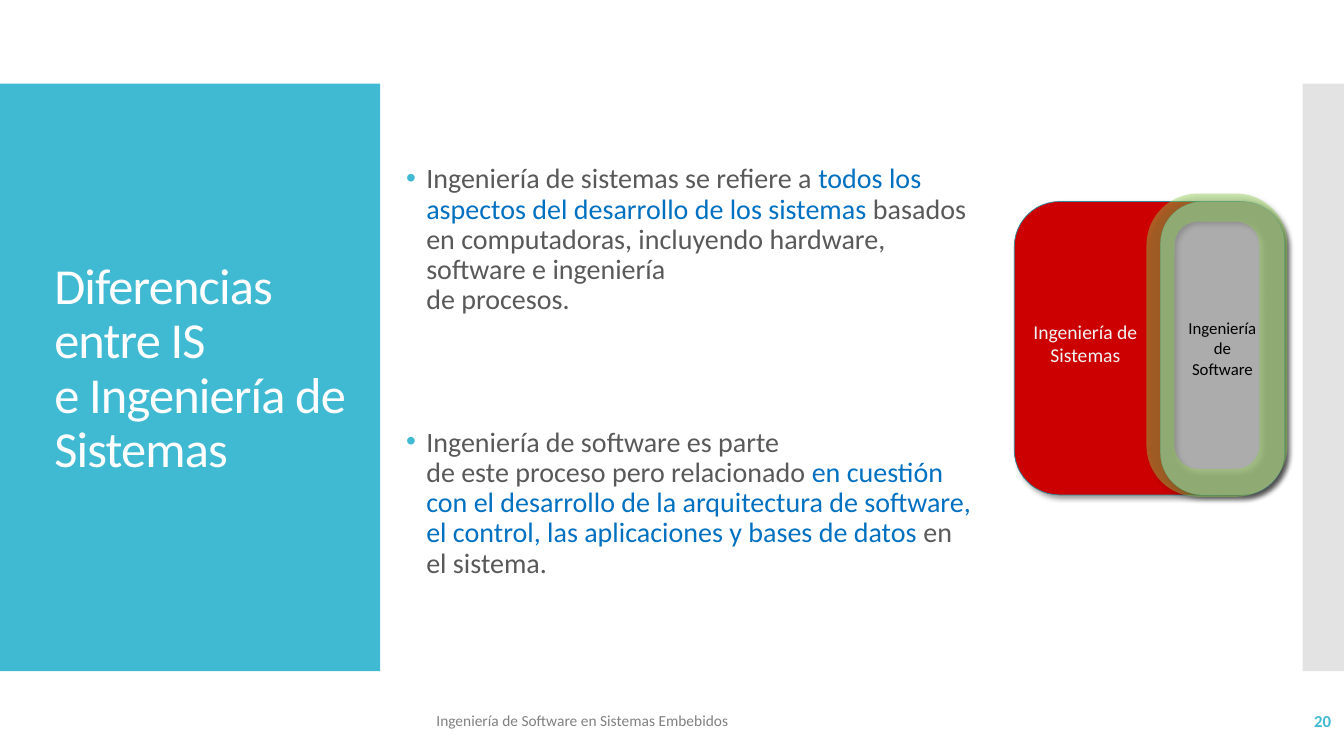
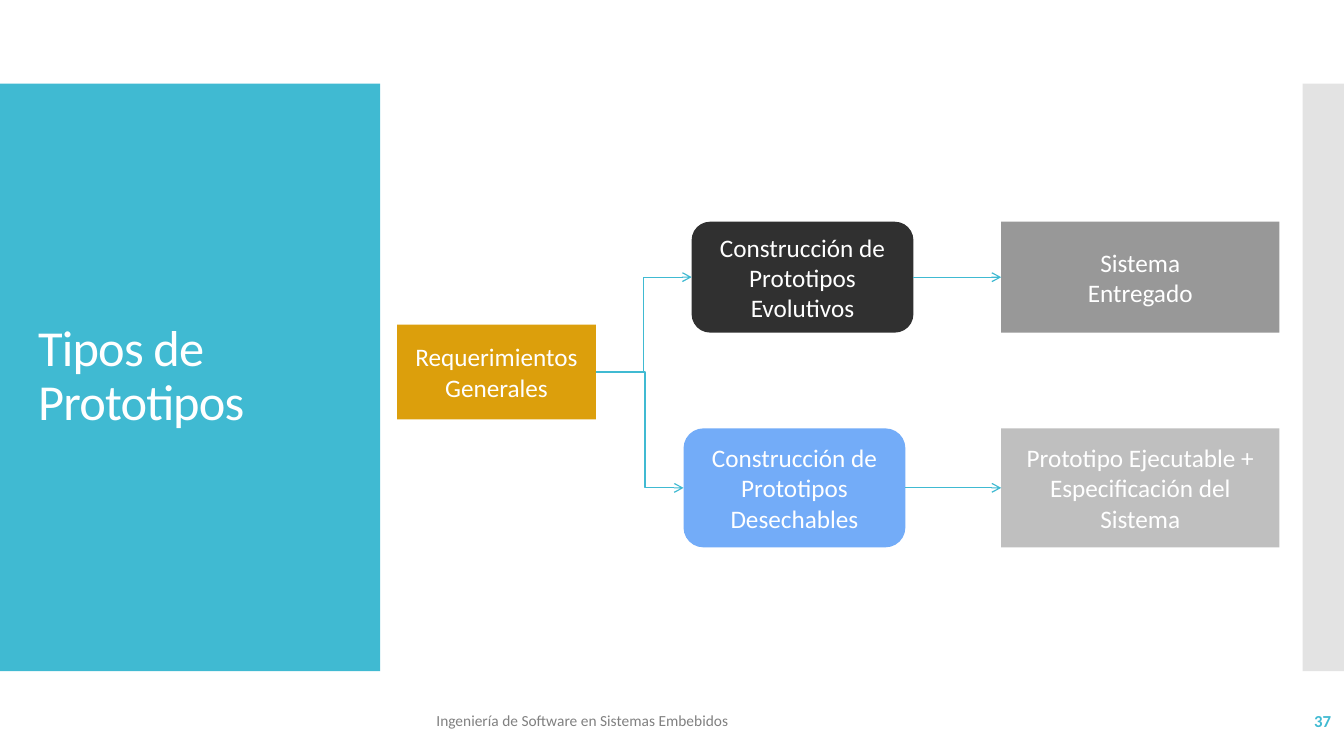
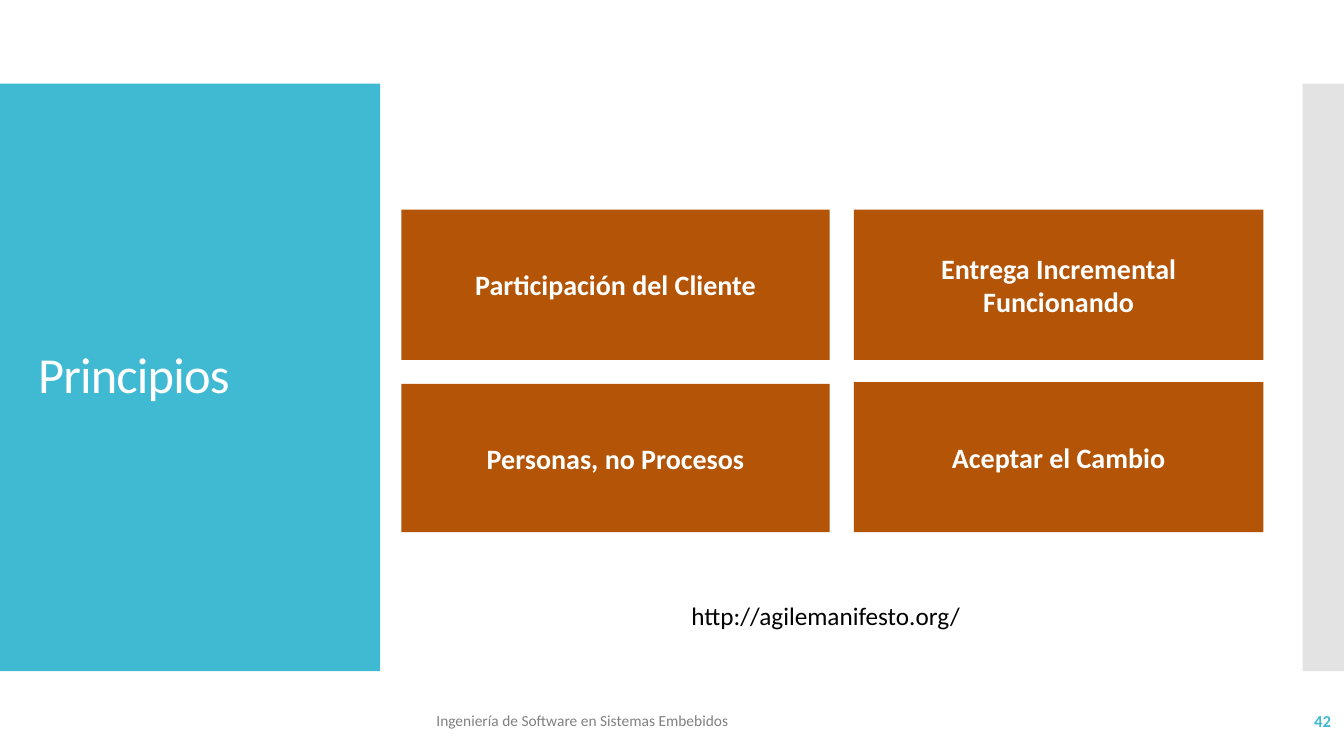
import pptx
import pptx.dml.color
import pptx.enum.shapes
import pptx.enum.text
import pptx.oxml
import pptx.oxml.ns
import pptx.util
from lxml import etree

Inches, Pt = pptx.util.Inches, pptx.util.Pt
SHAPE = pptx.enum.shapes.MSO_SHAPE
CONNECTOR = pptx.enum.shapes.MSO_CONNECTOR
ALIGN = pptx.enum.text.PP_ALIGN
ANCHOR = pptx.enum.text.MSO_ANCHOR
qn = pptx.oxml.ns.qn

# Shared look
FONT = "Calibri"
TEAL, WHITE, BLACK = "40BAD2", "FFFFFF", "000000"
GREY_TEXT, LINK_BLUE, RUST = "595959", "0070C0", "B35406"
BAND_TOP, BAND_HEIGHT = 0.83, 5.83
FOOTER = "Ingeniería de Software en Sistemas Embebidos"
TITLE_BOX = (0.28, 1.23, 3.22, 5.03)
RIGHT, LEFT = 3, 1


def rgb(code):
    return pptx.dml.color.RGBColor.from_string(code)


def add_child(parent, tag, **attributes):
    child = etree.SubElement(parent, qn(tag))
    for name, value in attributes.items():
        child.set(name, str(value))
    return child


def set_alpha(properties, percent):
    """Make the solid fill found in a shape's or a line's properties translucent."""
    color = properties.find(qn("a:solidFill"))[0]
    add_child(color, "a:alpha", val=percent * 1000)


def style_run(run, size, color, bold=False):
    run.font.name = FONT
    run.font.size = Pt(size)
    run.font.bold = bold
    run.font.color.rgb = rgb(color)


def write(shape, text, size, color, bold=False, align=ALIGN.LEFT,
          anchor=ANCHOR.MIDDLE, wrap=True):
    frame = shape.text_frame
    frame.text = text
    frame.word_wrap = wrap
    frame.vertical_anchor = anchor
    for paragraph in frame.paragraphs:
        paragraph.alignment = align
        for run in paragraph.runs:
            style_run(run, size, color, bold)
    return frame


def add_text(slide, box, text, size, color, **options):
    return write(slide.shapes.add_textbox(*map(Inches, box)), text, size, color, **options)


def add_block(slide, box, fill=None, kind=SHAPE.RECTANGLE, corner=None):
    block = slide.shapes.add_shape(kind, *map(Inches, box))
    block.shadow.inherit = False
    block.line.fill.background()
    if fill:
        block.fill.solid()
        block.fill.fore_color.rgb = rgb(fill)
    else:
        block.fill.background()
    if corner is not None:
        block.adjustments[0] = corner
    return block


def add_label_block(slide, box, fill, text, size=18, bold=False, kind=SHAPE.RECTANGLE):
    block = add_block(slide, box, fill, kind)
    write(block, text, size, WHITE, bold, ALIGN.CENTER)
    return block


def add_layer(slide, box, fill, edge, width, alpha=100, corner=None):
    """Rounded layer with an outline and a soft shadow."""
    layer = add_block(slide, box, fill, SHAPE.ROUNDED_RECTANGLE, corner)
    layer.line.color.rgb = rgb(edge)
    layer.line.width = Pt(width)
    properties = layer._element.spPr
    if alpha < 100:
        set_alpha(properties.find(qn("a:ln")), alpha)
    shadow = add_child(properties.find(qn("a:effectLst")), "a:outerShdw",
                       blurRad=Pt(4), dist=Pt(3), dir=45 * 60000, algn="tl", rotWithShape=0)
    add_child(add_child(shadow, "a:srgbClr", val=BLACK), "a:alpha", val=40000)
    return layer


def add_arrow(slide, source, target, kind=CONNECTOR.STRAIGHT, bend=None):
    arrow = slide.shapes.add_connector(kind, 0, 0, 0, 0)
    arrow.begin_connect(source, RIGHT)
    arrow.end_connect(target, LEFT)
    arrow.line.color.rgb = rgb(TEAL)
    arrow.line.width = Pt(0.85)
    properties = arrow._element.spPr
    add_child(properties.find(qn("a:ln")), "a:tailEnd", type="arrow")
    add_child(properties, "a:effectLst")
    if bend is not None:
        guides = properties.find(qn("a:prstGeom")).get_or_add_avLst()
        add_child(guides, "a:gd", name="adj1", fmla=f"val {round(bend * 100000)}")


def add_bullet(paragraph, parts, space_before):
    """Bulleted paragraph made of (text, colour) parts; a newline breaks the line."""
    paragraph.line_spacing = 0.9
    paragraph.space_before = Pt(space_before)
    properties = paragraph._p.get_or_add_pPr()
    properties.set("marL", str(Inches(0.2)))
    properties.set("indent", str(Inches(-0.2)))
    add_child(add_child(properties, "a:buClr"), "a:srgbClr", val=TEAL)
    add_child(properties, "a:buFont", typeface="Arial")
    add_child(properties, "a:buChar", char="•")
    for text, color in parts:
        for index, line in enumerate(text.split("\n")):
            if index:
                paragraph.add_line_break()
            run = paragraph.add_run()
            run.text = line
            style_run(run, 20, color)


def start_slide(deck, title, number, title_box=TITLE_BOX):
    """Blank slide with the side bands, title, footer and page number."""
    slide = deck.slides.add_slide(deck.slide_layouts[6])
    add_block(slide, (0, BAND_TOP, 3.77, BAND_HEIGHT), TEAL)
    edge_band = add_block(slide, (12.92, BAND_TOP, 0.42, BAND_HEIGHT), "C8C8C8")
    set_alpha(edge_band._element.spPr, 50)
    heading = add_text(slide, title_box, title, 36, WHITE).paragraphs[0]
    heading.line_spacing = 0.9
    for run in heading.runs:
        run.font._element.set("spc", "-60")
    add_text(slide, (4.23, 6.95, 6.46, 0.4), FOOTER, 11, "808080")
    add_text(slide, (11.63, 6.95, 1.67, 0.4), str(number), 12, TEAL, bold=True,
             align=ALIGN.RIGHT)
    return slide


def build_differences(deck):
    slide = start_slide(deck, "Diferencias entre IS\ve Ingeniería de Sistemas", 20,
                        (0.44, 3.04, 3.24, 1.25))
    # Definitions
    definitions = add_text(slide, (3.93, 1.31, 5.84, 4.76), "", 20, GREY_TEXT)
    add_bullet(definitions.paragraphs[0], [
        ("Ingeniería de sistemas se refiere a ", GREY_TEXT),
        ("todos los aspectos del desarrollo de los sistemas", LINK_BLUE),
        (" basados en computadoras, incluyendo hardware, software e ingeniería\n"
         "de procesos.", GREY_TEXT)], 0)
    add_bullet(definitions.add_paragraph(), [
        ("Ingeniería de software es parte\nde este proceso pero relacionado ", GREY_TEXT),
        ("en cuestión con el desarrollo de la arquitectura de software, el control, "
         "las aplicaciones y bases de datos ", LINK_BLUE),
        ("en el sistema.", GREY_TEXT)], 80)
    # Software engineering nested in systems engineering
    add_layer(slide, (10.06, 2, 2.68, 2.91), "CC0000", "2F8A9B", 0.5)
    software = add_layer(slide, (11.51, 2, 1.23, 2.91), "ACACAC", TEAL, 0.5, 43, 0.34)
    write(software, "Ingeniería de Software", 12, BLACK, align=ALIGN.CENTER)
    add_layer(slide, (11.51, 2.06, 1.12, 2.73), None, "92D050", 20, 43, 0.33)
    add_text(slide, (10.12, 3.12, 1.29, 0.57), "Ingeniería de\nSistemas", 14, "F2F2F2",
             align=ALIGN.CENTER, anchor=ANCHOR.TOP, wrap=False)


def build_prototypes(deck):
    slide = start_slide(deck, "Tipos de Prototipos", 37)
    requirements = add_label_block(slide, (3.94, 3.22, 1.97, 0.94), "DC9F0C",
                                   "Requerimientos Generales")
    # Each branch: top, height, left of the prototype, bend, and (text, fill) of both blocks
    branches = [
        (2.2, 1.1, 6.86, 0.5, ("Construcción de Prototipos Evolutivos", "303030"),
         ("Sistema\nEntregado", "989898")),
        (4.25, 1.18, 6.78, 0.56, ("Construcción de Prototipos Desechables", "73ACF8"),
         ("Prototipo Ejecutable +\nEspecificación del Sistema", "BFBFBF")),
    ]
    for top, height, left, bend, (build, build_fill), (result, result_fill) in branches:
        prototype = add_label_block(slide, (left, top, 2.2, height), build_fill, build,
                                    kind=SHAPE.ROUNDED_RECTANGLE)
        delivery = add_label_block(slide, (9.93, top, 2.76, height), result_fill, result)
        add_arrow(slide, requirements, prototype, CONNECTOR.ELBOW, bend)
        add_arrow(slide, prototype, delivery)


def build_principles(deck):
    slide = start_slide(deck, "Principios", 42)
    # Each column: left, width, top of the lower block, and both principles
    columns = [
        (3.98, 4.25, 3.81, "Participación del Cliente", "Personas, no Procesos"),
        (8.47, 4.06, 3.79, "Entrega Incremental Funcionando", "Aceptar el Cambio"),
    ]
    for left, width, lower_top, upper, lower in columns:
        for top, bottom, principle in ((2.08, 3.57, upper), (lower_top, 5.28, lower)):
            add_label_block(slide, (left, top, width, bottom - top), RUST, principle, 20, True)
    add_text(slide, (6.76, 5.91, 2.94, 0.4), "http://agilemanifesto.org/", 18, BLACK,
             anchor=ANCHOR.TOP, wrap=False)


def main():
    deck = pptx.Presentation()
    deck.slide_width, deck.slide_height = Inches(13.33), Inches(7.5)
    build_differences(deck)
    build_prototypes(deck)
    build_principles(deck)
    deck.save("out.pptx")


if __name__ == "__main__":
    main()
